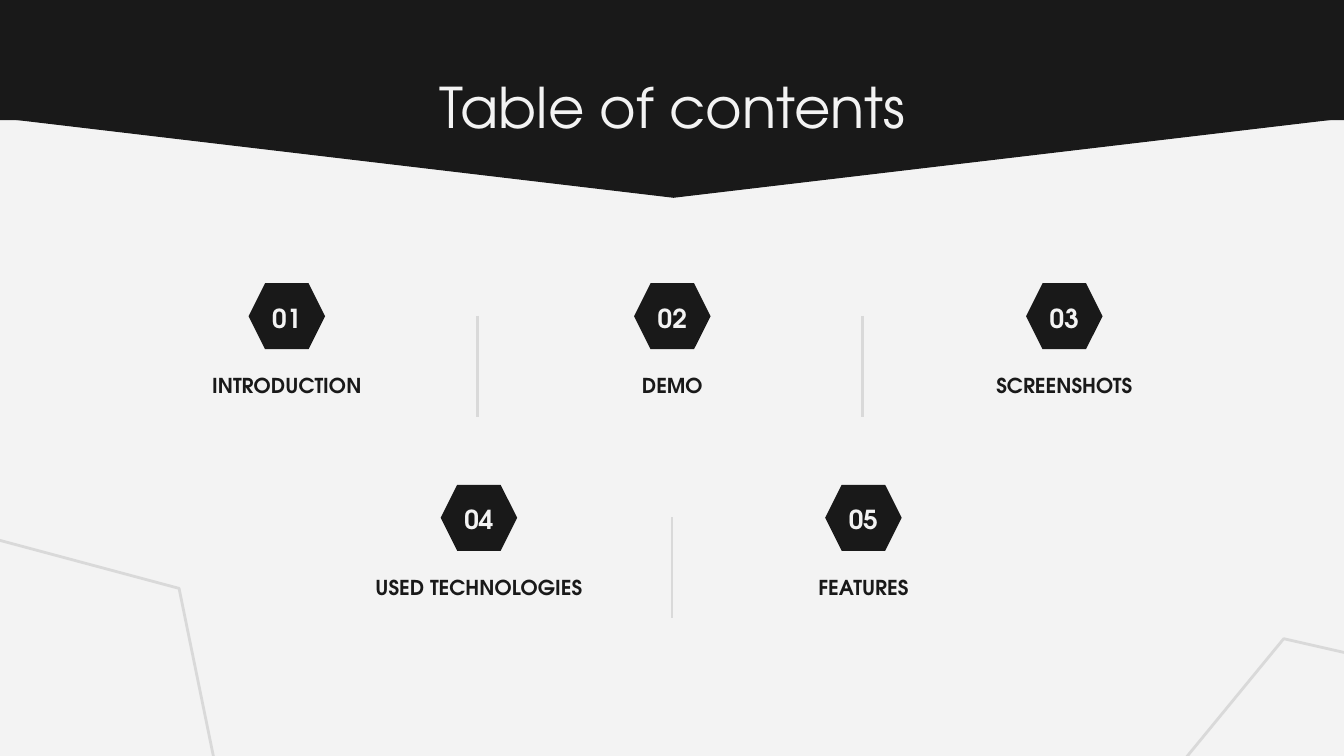
"""Build a table of contents slide with five numbered hexagons."""
from lxml import etree
from pptx import Presentation
from pptx.dml.color import RGBColor
from pptx.enum.shapes import MSO_CONNECTOR, MSO_SHAPE
from pptx.enum.text import MSO_ANCHOR, PP_ALIGN
from pptx.oxml.ns import qn
from pptx.util import Pt

HEX, TRI, RECT = MSO_SHAPE.HEXAGON, MSO_SHAPE.ISOSCELES_TRIANGLE, MSO_SHAPE.RECTANGLE
LINE = MSO_CONNECTOR.STRAIGHT
TOP, MID = MSO_ANCHOR.TOP, MSO_ANCHOR.MIDDLE
CENTER = PP_ALIGN.CENTER
FONT = "TeX Gyre Adventor"
COLORS = {"dark": "191919", "light": "F3F3F3", "rule": "D9D9D9"}
ROWS = [
    (152, [(153.7, "01", "INTRODUCTION"), (360.2, "02", "DEMO"),
           (570.2, "03", "SCREENSHOTS")], [255.6, 462.2]),
    (260, [(256.6, "04", "USED TECHNOLOGIES"), (462.6, "05", "FEATURES")], [360]),
]


def color(name):
    """Return the named colour."""
    return RGBColor.from_string(COLORS[name])


def add_form(slide, kind, box, fill=None, line=None, width=1.5, turn=0):
    """Add a preset shape with optional fill, outline and rotation."""
    form = slide.shapes.add_shape(kind, *map(Pt, box))
    form.shadow.inherit = False
    form.rotation = turn
    if fill:
        form.fill.solid()
        form.fill.fore_color.rgb = color(fill)
    else:
        form.fill.background()
    if line:
        form.line.color.rgb = color(line)
        form.line.width = Pt(width)
    else:
        form.line.fill.background()


def add_text(slide, text, box, size=11, tint="dark", bold=True, anchor=MID):
    """Add a centred line of text."""
    frame = slide.shapes.add_textbox(*map(Pt, box)).text_frame
    frame.word_wrap = True
    frame.vertical_anchor = anchor
    frame.margin_left = frame.margin_right = Pt(7.2)
    frame.margin_top = frame.margin_bottom = Pt(7.2)
    para = frame.paragraphs[0]
    para.alignment = CENTER
    run = para.add_run()
    run.text = text
    run.font.name, run.font.size, run.font.bold = FONT, Pt(size), bold
    run.font.color.rgb = color(tint)


def add_rule(slide, x, top, high=54):
    """Add a thin upright divider."""
    rule = slide.shapes.add_connector(LINE, Pt(x), Pt(top), Pt(x), Pt(top + high))
    rule.line.color.rgb = color("rule")
    rule.line.width = Pt(1.5)
    etree.SubElement(rule.element.spPr, qn("a:effectLst"))


def add_item(slide, mid, top, num, label):
    """Add a numbered hexagon with its label, centred on mid."""
    add_form(slide, HEX, (mid - 20.5, top - 0.3, 41, 35.4), fill="dark")
    add_text(slide, num, (mid - 29.5, top + 6.4, 59, 23.8), size=14, tint="light")
    add_text(slide, label, (mid - 63, top + 32, 126, 45.4))


def add_head(slide):
    """Add the pointed banner and the title."""
    add_form(slide, TRI, (-0.7, 62.8, 723, 42.8), fill="dark", line="dark",
             width=0.75, turn=180)
    add_form(slide, RECT, (-0.7, -3, 723, 67.4), fill="dark")
    add_text(slide, "Table of contents", (209.3, 31.7, 302, 54), size=30,
             tint="light", bold=False, anchor=TOP)


def main():
    """Build and save the slide."""
    deck = Presentation()
    deck.slide_width, deck.slide_height = Pt(720), Pt(405)
    slide = deck.slides.add_slide(deck.slide_layouts[6])
    slide.background.fill.solid()
    slide.background.fill.fore_color.rgb = color("light")
    add_head(slide)
    for top, items, rules in ROWS:
        for mid, num, label in items:
            add_item(slide, mid, top, num, label)
        for x in rules:
            add_rule(slide, x, top + 17.2)
    for left, top, turn in [(-112.3, 293.8, 15), (596.9, 363.6, 309.4)]:
        add_form(slide, HEX, (left, top, 232.6, 182.2), line="rule", turn=turn)
    deck.save("out.pptx")


if __name__ == "__main__":
    main()
